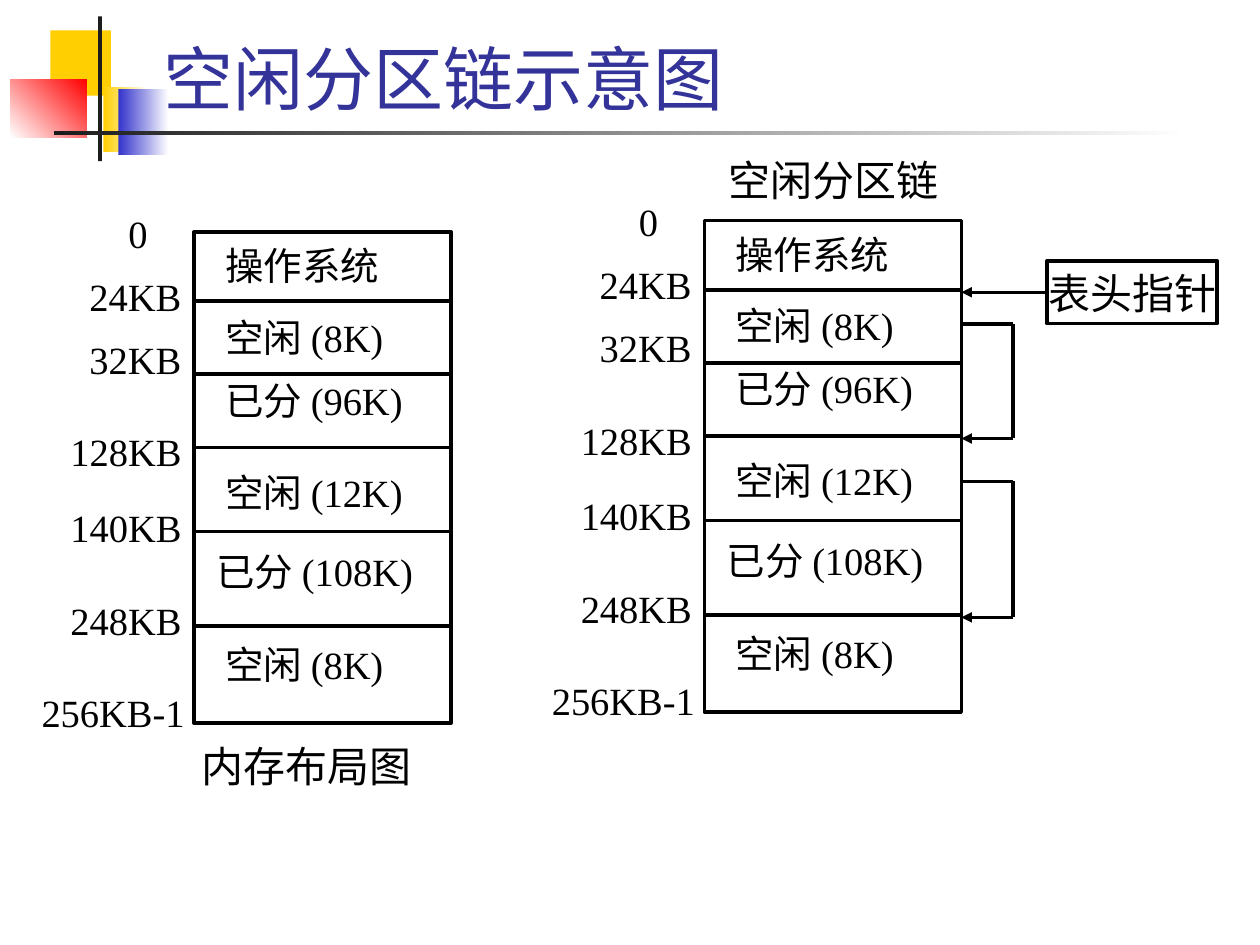
from dataclasses import dataclass

from lxml import etree
from pptx import Presentation
from pptx.dml.color import RGBColor
from pptx.enum.shapes import MSO_CONNECTOR, MSO_SHAPE
from pptx.enum.text import MSO_ANCHOR, PP_ALIGN
from pptx.oxml.ns import qn
from pptx.util import Inches, Pt

RECT = MSO_SHAPE.RECTANGLE
STRAIGHT = MSO_CONNECTOR.STRAIGHT
TOP, MIDDLE, BOTTOM = MSO_ANCHOR.TOP, MSO_ANCHOR.MIDDLE, MSO_ANCHOR.BOTTOM
LEFT, CENTER, JUSTIFY = PP_ALIGN.LEFT, PP_ALIGN.CENTER, PP_ALIGN.JUSTIFY


@dataclass(frozen=True)
class Theme:
    sans: str = "Karla"
    serif: str = "Times New Roman"
    title_size: int = 40
    caption_size: int = 24
    body_size: int = 22
    body_leading: int = 26
    line_width: int = 2
    ink: str = "000000"
    paper: str = "FFFFFF"
    title: str = "333399"
    yellow: str = "FFCF01"
    blue: str = "3333CC"
    red: str = "FF0000"
    charcoal: str = "1C1C1C"


THEME = Theme()

TITLE = "空闲分区链示意图"
POINTER = "表头指针"
# (left, top, width, height), fill colours, gradient angle
ORNAMENTS = [
    ((0.4, 0.24, 0.48, 0.52), (THEME.yellow,), 0),
    ((0.82, 0.69, 0.36, 0.52), (THEME.yellow, THEME.paper), 0),
    ((0.94, 0.71, 0.4, 0.52), (THEME.blue, THEME.paper), 0),
    ((0.08, 0.63, 0.61, 0.46), (THEME.paper, THEME.red), 45),
    ((0.78, 0.13, 0.03, 1.15), (THEME.charcoal,), 0),
    ((0.43, 1.04, 9, 0.03), (THEME.charcoal, THEME.paper), 0),
]
# text, space before (pt), indent (in)
PARTITIONS = [
    ("操作系统", 0, 0.15),
    ("空闲 (8K)", 14.6, 0.15),
    ("已分 (96K)", 10, 0.15),
    ("空闲 (12K)", 26.6, 0.15),
    ("已分 (108K)", 19.7, 0.08),
    ("空闲 (8K)", 27.1, 0.15),
]
ADDRESSES = [
    ("0", 0, 0.69),
    ("24KB", 10, 0.38),
    ("32KB", 10, 0.38),
    ("128KB", 27, 0.23),
    ("140KB", 17, 0.23),
    ("248KB", 27, 0.23),
    ("256KB-1", 26.6, 0),
]
# Left and top of each memory map, and where its caption goes
MAPS = [
    ((1.54, 1.84), "内存布局图", (1.53, 5.8)),
    ((5.59, 1.75), "空闲分区链", (5.71, 1.15)),
]
MAP_W, MAP_H = 2.04, 3.9
DIVIDERS = [0.55, 1.13, 1.71, 2.38, 3.13]
CHAIN_LINKS = [(0.82, 1.73), (2.07, 3.15)]  # leaving and arriving, below map top
LINK_W = 0.41


def rgb(value):
    return RGBColor.from_string(value)


def add_rect(shapes, box, colours=(), angle=0, outlined=False):
    """Rectangle with no fill, a solid fill or a two-colour gradient."""
    s = shapes.add_shape(RECT, *map(Inches, box))
    s.shadow.inherit = False
    if len(colours) == 2:
        s.fill.gradient()
        s.fill.gradient_angle = angle
        for stop, colour in zip(s.fill.gradient_stops, colours):
            stop.color.rgb = rgb(colour)
    elif colours:
        s.fill.solid()
        s.fill.fore_color.rgb = rgb(colours[0])
    else:
        s.fill.background()
    if outlined:
        s.line.color.rgb = rgb(THEME.ink)
        s.line.width = Pt(THEME.line_width)
    else:
        s.line.fill.background()
    return s


def write(s, rows, size=THEME.body_size, font=THEME.serif, colour=THEME.ink,
          align=JUSTIFY, anchor=TOP, insets=(0, 0, 0, 0), wrap=True, leading=None):
    """Fill a shape with (text, space before, indent) rows."""
    tf = s.text_frame
    tf.word_wrap = wrap
    tf.vertical_anchor = anchor
    (tf.margin_left, tf.margin_top,
     tf.margin_right, tf.margin_bottom) = map(Inches, insets)
    for i, (text, before, indent) in enumerate(rows):
        p = tf.add_paragraph() if i else tf.paragraphs[0]
        p.alignment = align
        if leading:
            p.line_spacing = Pt(leading)
        if before:
            p.space_before = Pt(before)
        if indent:
            p._p.get_or_add_pPr().set("marL", str(Inches(indent)))
        r = p.add_run()
        r.text = text
        r.font.name = font
        r.font.size = Pt(size)
        r.font.color.rgb = rgb(colour)


def add_text(shapes, box, rows, **style):
    write(shapes.add_textbox(*map(Inches, box)), rows, **style)


def add_line(shapes, x1, y1, x2, y2, arrow=False):
    c = shapes.add_connector(STRAIGHT, *map(Inches, (x1, y1, x2, y2)))
    c.line.color.rgb = rgb(THEME.ink)
    c.line.width = Pt(THEME.line_width)
    if arrow:
        etree.SubElement(c.line._get_or_add_ln(), qn("a:tailEnd"), type="triangle")
    etree.SubElement(c._element.spPr, qn("a:effectLst"))
    return c


def add_memory_map(shapes, left, top):
    s = add_rect(shapes, (left, top, MAP_W, MAP_H), (THEME.paper,), outlined=True)
    write(s, PARTITIONS, insets=(0.1, 0.09, 0.1, 0.13), leading=THEME.body_leading)
    for y in DIVIDERS:
        add_line(shapes, left, top + y, left + MAP_W, top + y)
    add_text(shapes, (left - 1.21, top - 0.19, 1.17, 4.25), ADDRESSES,
             insets=(0, 0.02, 0, 0), leading=THEME.body_leading)


def add_chain(shapes, left, top):
    """Links between free partitions, and the pointer to the first one."""
    edge = left + MAP_W
    turn = edge + LINK_W
    for start, end in CHAIN_LINKS:
        y1, y2 = top + start, top + end
        add_line(shapes, edge, y1, turn, y1)
        add_line(shapes, turn, y1, turn, y2)
        add_line(shapes, turn, y2, edge, y2, arrow=True)
    s = add_rect(shapes, (8.31, 2.07, 1.35, 0.5), outlined=True)
    write(s, [(POINTER, 0, 0)], size=THEME.caption_size, font=THEME.sans,
          align=CENTER, anchor=MIDDLE, insets=(0.1, 0.05, 0.1, 0.05), wrap=False)
    add_line(shapes, 8.31, 2.32, edge, 2.32, arrow=True).begin_connect(s, 1)


def main():
    prs = Presentation()
    prs.slide_width, prs.slide_height = Inches(10), Inches(7.5)
    shapes = prs.slides.add_slide(prs.slide_layouts[6]).shapes
    for box, colours, angle in ORNAMENTS:
        add_rect(shapes, box, colours, angle)
    add_text(shapes, (1.2, 0.17, 8.52, 0.83), [(TITLE, 0, 0)],
             size=THEME.title_size, font=THEME.sans, colour=THEME.title,
             align=LEFT, anchor=BOTTOM, insets=(0.1, 0.05, 0.1, 0.05))
    for origin, caption, place in MAPS:
        add_memory_map(shapes, *origin)
        add_text(shapes, (*place, 1.81, 0.55), [(caption, 0, 0)],
                 size=THEME.caption_size, font=THEME.sans,
                 align=CENTER, anchor=MIDDLE, wrap=False)
    add_chain(shapes, *MAPS[1][0])
    prs.save("out.pptx")


if __name__ == "__main__":
    main()
